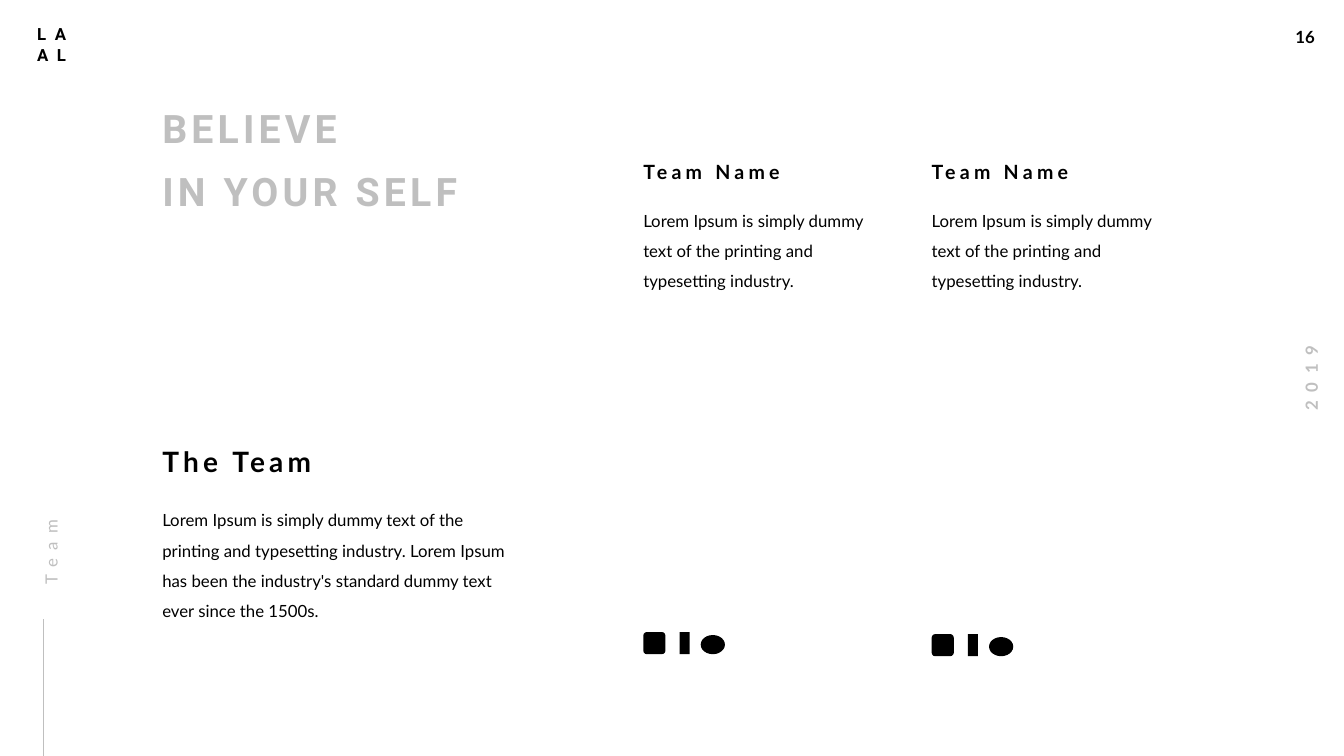
from pptx import Presentation
from pptx.dml.color import RGBColor
from pptx.enum.shapes import MSO_CONNECTOR, MSO_SHAPE as Shape
from pptx.enum.text import MSO_ANCHOR, MSO_AUTO_SIZE, PP_ALIGN as Align
from pptx.oxml.ns import qn
from pptx.util import Inches, Pt

BLACK = RGBColor(0x00, 0x00, 0x00)
GREY = RGBColor(0xBF, 0xBF, 0xBF)

FLUSH = (0, 0, 0.1, 0)
PADDED = (0.1, 0.05, 0.1, 0.05)


class TeamSlide:
    """Holds the slide and the style shared by its elements."""

    body_font, display_font = "Lato", "Roboto"

    def __init__(self, deck):
        self.slide = deck.slides.add_slide(deck.slide_layouts[5])
        self.shapes = self.slide.shapes

    def fill_text(self, box, lines, size=12, font=body_font, color=BLACK,
                  bold=False, tracking=0, leading=1.0, before=12,
                  insets=FLUSH, align=Align.LEFT, wrap=True):
        frame = box.text_frame
        frame.word_wrap = wrap
        frame.auto_size = MSO_AUTO_SIZE.SHAPE_TO_FIT_TEXT
        frame.vertical_anchor = MSO_ANCHOR.TOP
        (frame.margin_left, frame.margin_top,
         frame.margin_right, frame.margin_bottom) = map(Inches, insets)
        frame.text = "\n".join(lines)
        for paragraph in frame.paragraphs:
            paragraph.alignment = align
            paragraph.line_spacing = leading
            paragraph.space_before = Pt(before)
            paragraph.font.size = Pt(size)
            paragraph.font.name = font
            paragraph.font.bold = bold
            paragraph.font.color.rgb = color
            if tracking:
                for run in paragraph.runs:
                    run._r.get_or_add_rPr().set("spc", str(tracking * 100))

    def title(self, lines, left, top, width, height, **style):
        heading = self.shapes.title
        heading.left, heading.top = Inches(left), Inches(top)
        heading.width, heading.height = Inches(width), Inches(height)
        self.fill_text(heading, lines, **style)

    def text(self, lines, left, top, width, height, rotation=0, **style):
        box = self.shapes.add_textbox(*map(Inches, (left, top, width, height)))
        box.rotation = rotation
        self.fill_text(box, lines, **style)

    def mark(self, kind, left, top, width, height):
        mark = self.shapes.add_shape(kind, *map(Inches, (left, top, width, height)))
        mark.shadow.inherit = False
        mark.fill.solid()
        mark.fill.fore_color.rgb = BLACK
        mark.line.fill.background()

    def rule(self, x1, y1, x2, y2):
        rule = self.shapes.add_connector(
            MSO_CONNECTOR.STRAIGHT, *map(Inches, (x1, y1, x2, y2)))
        rule.line.color.rgb = GREY
        rule.line.width = Pt(0.5)
        properties = rule._element.spPr
        properties.append(properties.makeelement(qn("a:effectLst"), {}))

    def member(self, left, marks_top):
        self.text(["Team Name"], left, 1.59, 2.11, 0.24,
                  size=14, bold=True, tracking=3)
        self.text(["Lorem Ipsum is simply dummy text of the printing and "
                   "typesetting industry."], left, 1.99, 2.35, 0.87, leading=1.5)
        # Plain stand-ins for the social links
        for kind, dx, dy, width, height in (
                (Shape.ROUNDED_RECTANGLE, 0, 0, 0.22, 0.22),
                (Shape.RECTANGLE, 0.36, 0, 0.1, 0.22),
                (Shape.OVAL, 0.57, 0.03, 0.24, 0.19)):
            self.mark(kind, left + dx, marks_top + dy, width, height)


def main():
    deck = Presentation()
    deck.slide_width, deck.slide_height = Inches(13.33), Inches(7.5)
    page = TeamSlide(deck)

    # Page frame: wordmark, page number, year
    framing = dict(bold=True, before=0, insets=PADDED)
    page.text(["LA", "AL"], 0.27, 0.19, 0.59, 0.5,
              font=page.display_font, tracking=6, **framing)
    page.text(["16"], 12.75, 0.22, 0.41, 0.3, wrap=False, **framing)
    page.text(["2019"], 12.54, 3.6, 0.93, 0.3, rotation=270, color=GREY,
              tracking=6, align=Align.CENTER, wrap=False, **framing)

    # Title
    page.title(["BELIEVE", "IN YOUR SELF"], 1.61, 1.03, 3.68, 1.11, size=28,
               font=page.display_font, color=GREY, bold=True, tracking=3)

    # Introduction
    page.text(["The Team"], 1.61, 4.41, 3.5, 0.34, size=20, bold=True, tracking=3)
    page.text(["Lorem Ipsum is simply dummy text of the printing and typesetting "
               "industry. Lorem Ipsum has been the industry's standard dummy text "
               "ever since the 1500s."], 1.61, 4.96, 3.5, 1.17, leading=1.5)

    # Team members
    for left, marks_top in ((6.38, 6.27), (9.24, 6.29)):
        page.member(left, marks_top)

    # Side label
    page.rule(0.43, 7.5, 0.43, 6.14)
    page.text(["Team"], -0.49, 4.74, 1.85, 0.26, rotation=270, color=GREY,
              tracking=6, leading=1.5)

    deck.save("out.pptx")


if __name__ == "__main__":
    main()
